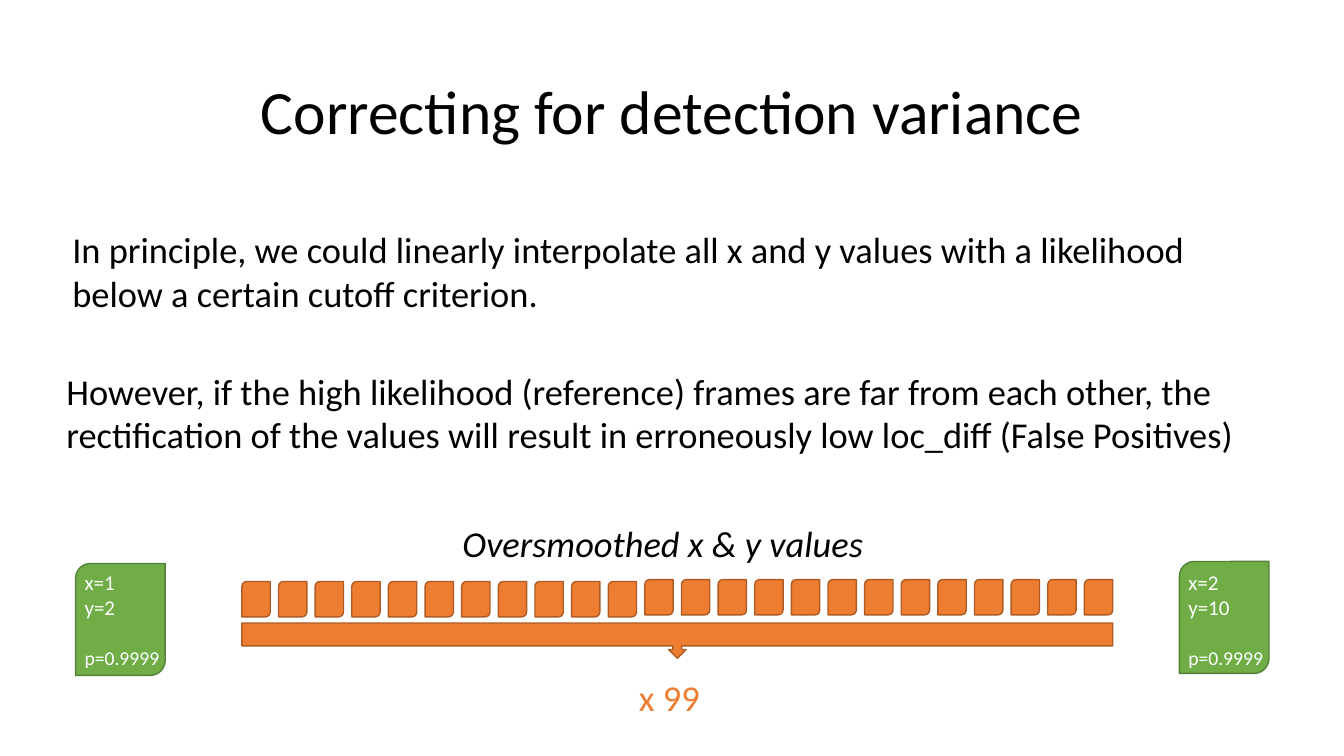
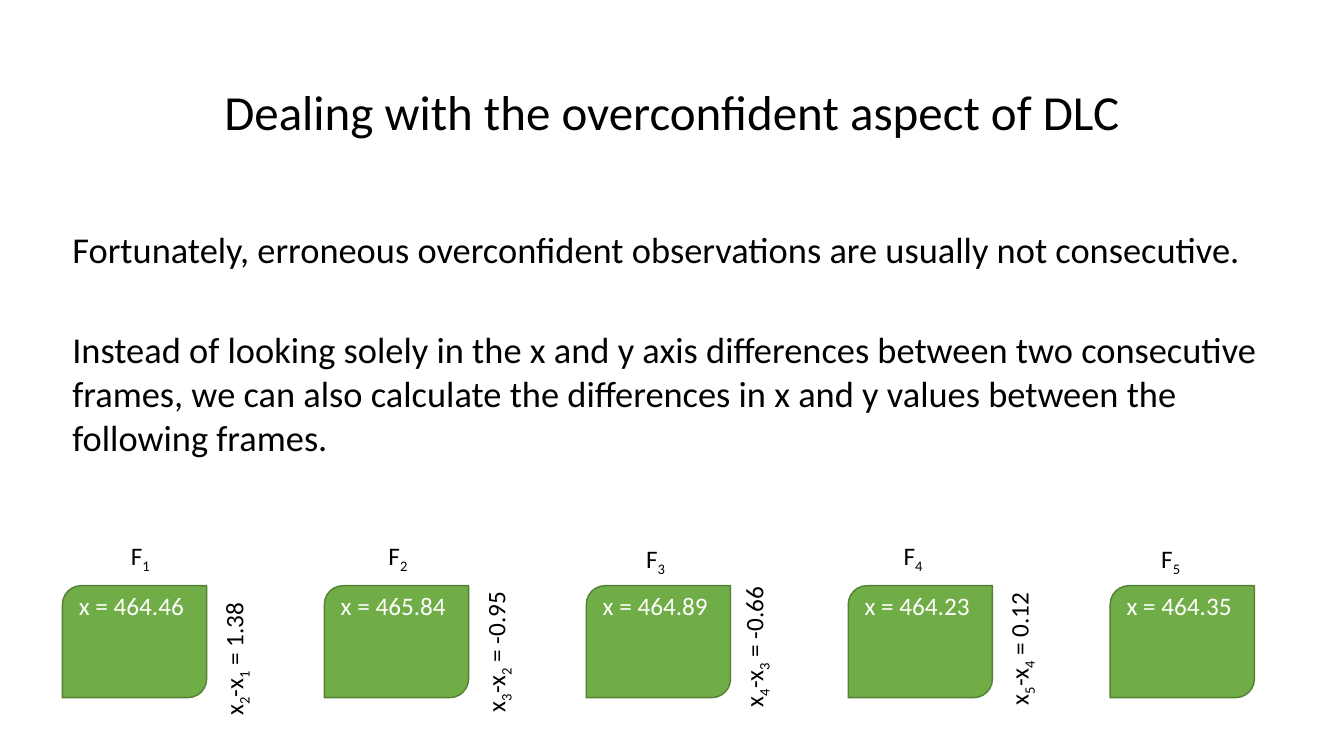
"""Build two slides on correcting detection variance in tracked positions."""
from pptx import Presentation
from pptx import util as u
from pptx.dml.color import RGBColor
from pptx.enum import shapes, text


class Deck:
    """Hold the shared style and the current slide."""

    font = "Calibri"
    body = 26
    hues = {
        "ink": "000000",
        "light": "FFFFFF",
        "green": "70AD47",
        "moss": "538035",
        "orange": "ED7D31",
        "rust": "AF5C24",
    }
    edges = {"green": "moss", "orange": "rust"}

    def __init__(self):
        """Start an empty wide deck."""
        self.file = Presentation()
        self.file.slide_width = u.Pt(960)
        self.file.slide_height = u.Pt(540)
        self.slide = None

    def hue(self, name):
        """Return a named colour."""
        return RGBColor.from_string(self.hues[name])

    def style(self, para, size, hue="ink", slant=None):
        """Set the font of one paragraph."""
        font = para.font
        font.name = self.font
        font.size = u.Pt(size)
        font.color.rgb = self.hue(hue)
        font.italic = slant

    def add(self, title, size):
        """Open a new slide with a centred title."""
        self.slide = self.file.slides.add_slide(self.file.slide_layouts[5])
        head = self.slide.shapes.title
        head.left, head.top = u.Pt(139), u.Pt(29.5)
        head.width, head.height = u.Pt(682.5), u.Pt(104.5)
        frame = head.text_frame
        frame.text = title
        frame.auto_size = text.MSO_AUTO_SIZE.NONE
        frame.vertical_anchor = text.MSO_ANCHOR.MIDDLE
        para = frame.paragraphs[0]
        para.alignment = text.PP_ALIGN.CENTER
        para.line_spacing = 0.9
        self.style(para, size)

    def label(self, words, box, size=body, hue="ink", slant=None, wrap=True, turn=0):
        """Add a text box in which every second part between bars is a subscript."""
        shape = self.slide.shapes.add_textbox(*map(u.Pt, box))
        shape.rotation = turn
        frame = shape.text_frame
        frame.word_wrap = wrap
        frame.auto_size = text.MSO_AUTO_SIZE.SHAPE_TO_FIT_TEXT
        para = frame.paragraphs[0]
        self.style(para, size, hue, slant)
        for spot, part in enumerate(words.split("|")):
            run = para.add_run()
            run.text = part
            if spot % 2:
                run._r.get_or_add_rPr().set("baseline", "-25000")
        return frame

    def block(self, box, hue, kind=shapes.MSO_SHAPE.ROUND_2_DIAG_RECTANGLE, turn=0):
        """Add a filled and outlined shape."""
        shape = self.slide.shapes.add_shape(kind, *map(u.Pt, box))
        shape.rotation = turn
        shape.shadow.inherit = False
        shape.fill.solid()
        shape.fill.fore_color.rgb = self.hue(hue)
        shape.line.color.rgb = self.hue(self.edges[hue])
        shape.line.width = u.Pt(1)

    def anchor(self, left, top, turn, spot, odds):
        """Add a reference frame with its position and likelihood."""
        self.block((left, top, 64, 80), "green", turn=turn)
        frame = self.label(spot[0], (left - 0.7, 403.2, 70.6, 78.5), 15, "light")
        for words, size, gap in ((spot[1], 15, 0), (odds, 14, 18.3)):
            para = frame.add_paragraph()
            para.text = words
            para.space_before = u.Pt(gap)
            self.style(para, size, "light")


def smooth(deck):
    """Draw the slide on interpolation between distant frames."""
    deck.add("Correcting for detection variance", 44)
    deck.label("In principle, we could linearly interpolate all x and y values with "
               "a likelihood below a certain cutoff criterion.", (44.6, 159, 870.5, 70.6))
    deck.label("However, if the high likelihood (reference) frames are far from each "
               "other, the rectification of the values will result in erroneously "
               "low loc_diff (False Positives)", (40.3, 260, 894.2, 70.6))
    deck.anchor(54, 402.5, 0, ("x=1", "y=2"), "p=0.9999")
    deck.anchor(842.4, 401, 180, ("x=2", "y=10"), "p=0.9999")
    left, width, count, tile = 172.8, 622, 24, 20.2
    deck.block((left, 445, width, 25.2), "orange", shapes.MSO_SHAPE.DOWN_ARROW_CALLOUT)
    deck.label("x 99", (449.3, 478.8, 58.3, 38.9), hue="orange", wrap=False)
    step = (width - tile) / (count - 1)
    for spot in range(count):
        top = 415.4 if spot < 11 else 414
        deck.block((left + spot * step, top, tile, 25.2), "orange")
    deck.label("Oversmoothed x & y values", (323.3, 368.6, 312.5, 38.9), slant=True)


def compare(deck):
    """Draw the slide on differences between following frames."""
    deck.add("Dealing with the overconfident aspect of DLC", 35)
    deck.label("Fortunately, erroneous overconfident observations are usually not "
               "consecutive.", (44.6, 159, 870.5, 38.9))
    deck.label("Instead of looking solely in the x and y axis differences between two "
               "consecutive frames, we can also calculate the differences in x and y "
               "values between the following frames.", (44.6, 230.4, 892.8, 101.5))
    values = ("464.46", "465.84", "464.89", "464.23", "464.35")
    tops = (382.3, 382.3, 384.5, 382.3, 384.5)
    for spot, (value, top) in enumerate(zip(values, tops)):
        left = 44.6 + spot * 187.1
        deck.block((left, 418.3, 103, 80), "green", turn=180)
        deck.label(f"x = {value}", (left + 4.6, 418.3, 94.3, 28.8), 18, "light")
        deck.label(f"F|{spot + 1}|", (86.4 + spot * 184, top, 28.8, 28.8), 18, wrap=False)
    gaps = (("1.38", 112.3, 449.3), ("-0.95", 299.5, 447.1),
            ("-0.66", 483.8, 443.5), ("0.12", 673.2, 442.1))
    for spot, (value, left, top) in enumerate(gaps, 1):
        deck.label(f"x|{spot + 1}|-x|{spot}| = {value}", (left, top, 108.7, 28.8), 18, turn=270)


def main():
    """Build and save the deck."""
    deck = Deck()
    smooth(deck)
    compare(deck)
    deck.file.save("out.pptx")


if __name__ == "__main__":
    main()
